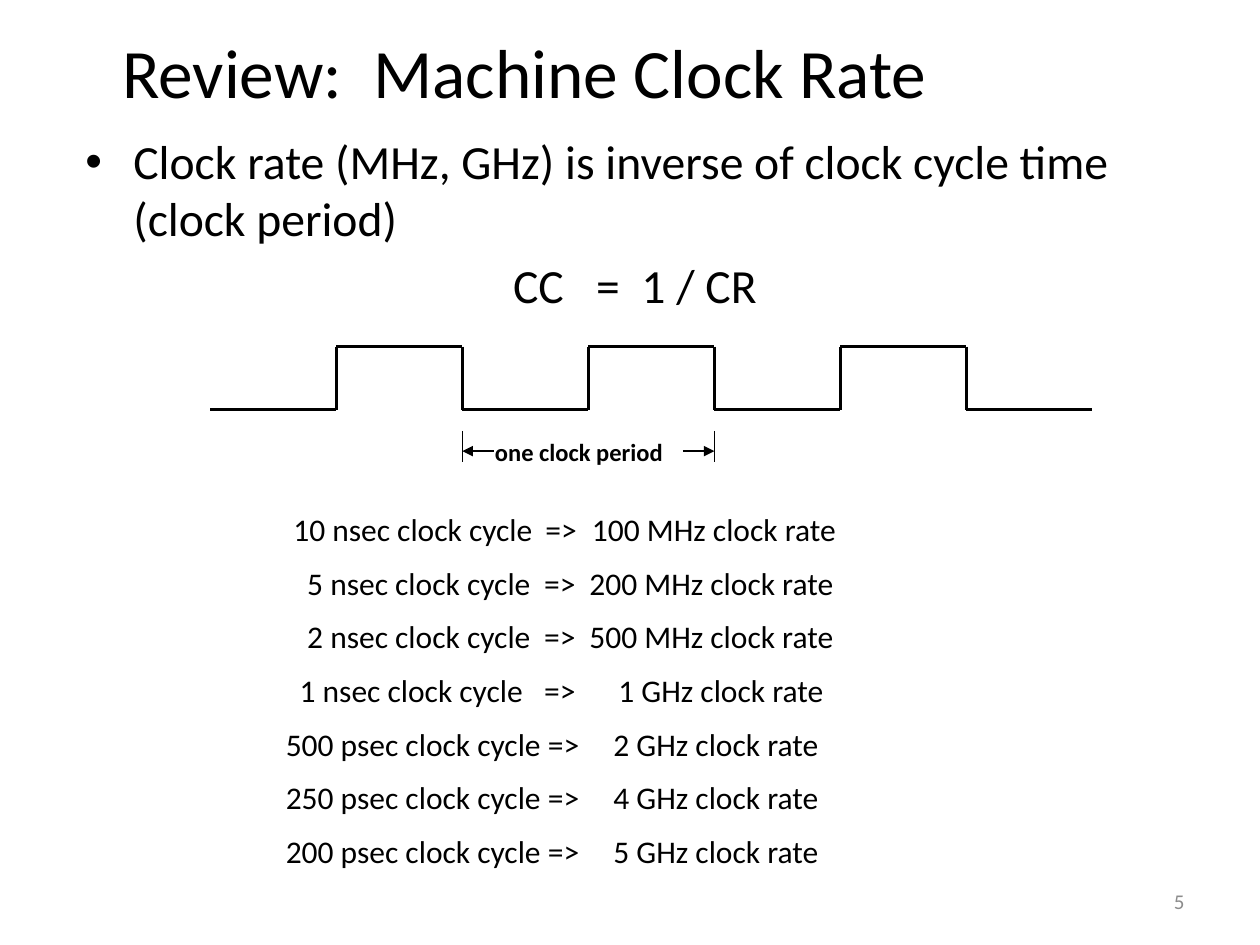
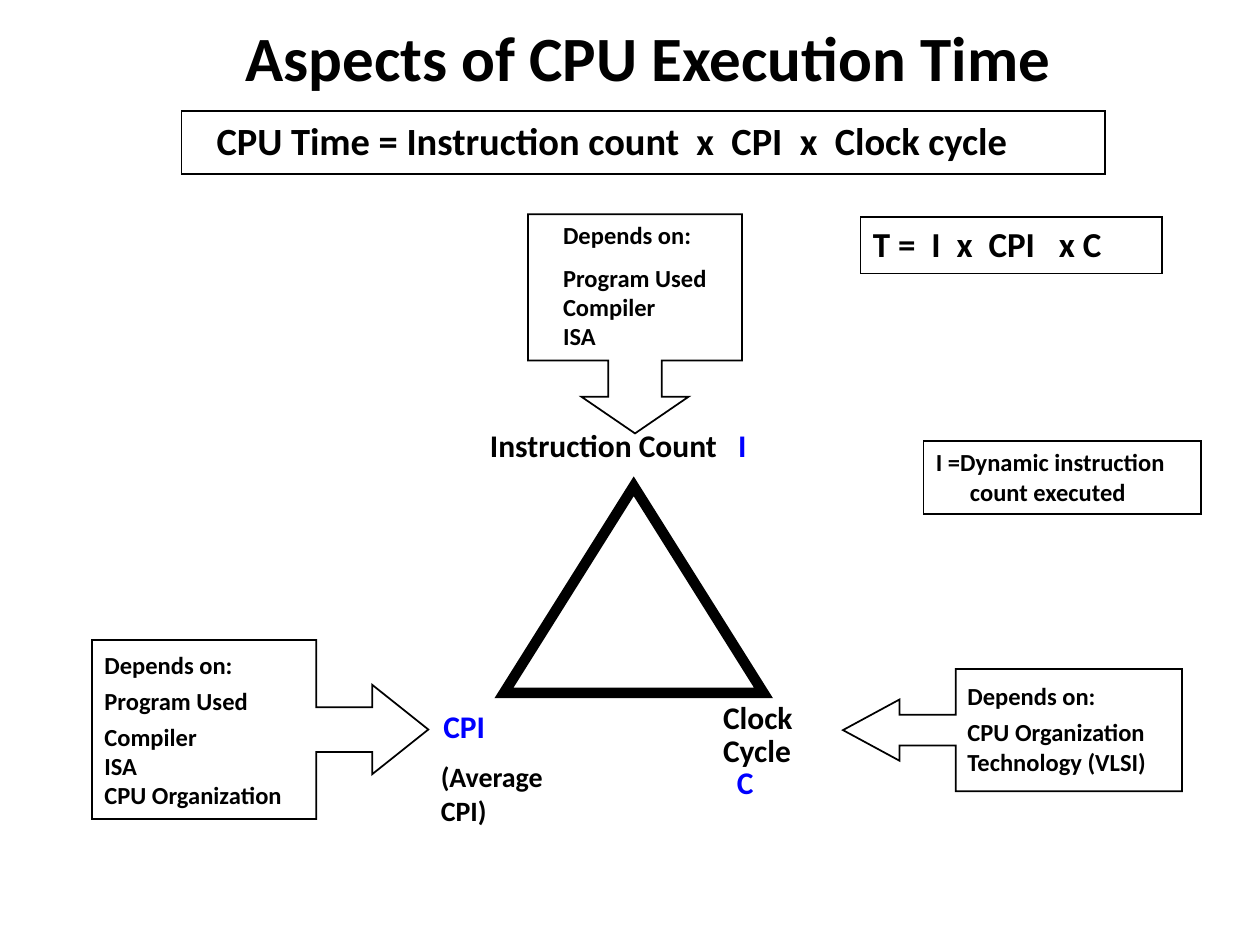
import itertools
import lxml.etree
import pptx
import pptx.dml.color
import pptx.enum.shapes
import pptx.enum.text
import pptx.oxml.ns
import pptx.util

Inches = pptx.util.Inches
Pt = pptx.util.Pt
Kind = pptx.enum.shapes.MSO_SHAPE
Align = pptx.enum.text.PP_ALIGN
Anchor = pptx.enum.text.MSO_ANCHOR
qn = pptx.oxml.ns.qn


class Theme:
    font = "Calibri"
    black, white, blue, gray = "000000", "FFFFFF", "0000FF", "8C8C8C"
    title, head, body, sum, brief = 39.6, 36, 27.2, 22, 20
    label, aside, note, foot = 18, 16, 14, 12
    thin, wave, thick = 1, 1.5, 6


# ---- Content: clock rate slide ----
RATE_TITLE = "Review:  Machine Clock Rate"
RATE_BODY = [
    dict(text="Clock rate (MHz, GHz) is inverse of clock cycle time (clock period)",
         left=0.38, first=-0.38, mark="\u2022"),
    dict(text="CC   =  1 / CR", align=Align.CENTER, before=5.4),
]
PERIOD = "one clock period"
# cycle, rate, then the indents of cycle, arrow and rate
RATES = [
    ("10 nsec", "100 MHz", (0.06, 0.01, 0.02)),
    ("5 nsec", "200 MHz", (0.17, 0, 0)),
    ("2 nsec", "500 MHz", (0.17, 0, 0)),
    ("1 nsec", "1 GHz", (0.11, 0, 0.23)),
    ("500 psec", "2 GHz", (0, 0.03, 0.19)),
    ("250 psec", "4 GHz", (0, 0.03, 0.19)),
    ("200 psec", "5 GHz", (0, 0.03, 0.19)),
]
COLUMNS = [(2.17, 2.3), (4.22, 0.6), (4.58, 3.26)]  # left, width
PAGE = "5"

# ---- Content: execution time slide ----
TIME_TITLE = "Aspects of CPU Execution Time"
TIME_SUM = "CPU Time = Instruction count  x  CPI  x  Clock cycle"
# corner labels: box, size, paragraphs
LABELS = [
    ((3.79, 3.33, 2.1, 0.5), Theme.label, ["Instruction Count"]),
    ((5.76, 3.33, 0.4, 0.5), Theme.label, [dict(blue="I")]),
    ((5.64, 5.54, 1.03, 1.12), Theme.label,
     [dict(text="Clock", lines=0.85), dict(text="Cycle", lines=0.85),
      dict(blue="C", left=0.11, lines=0.85)]),
    ((3.42, 5.56, 0.8, 0.45), Theme.label, [dict(blue="CPI")]),
    ((3.4, 5.98, 1.07, 0.64), Theme.aside, ["(Average", "CPI)"]),
]
# callouts: shape, box, head length, text box, paragraphs
CALLOUTS = [
    (Kind.LEFT_ARROW_CALLOUT, (6.69, 5.31, 2.69, 0.97), 0.462,
     (7.58, 5.36, 1.83, 0.85),
     [dict(text="CPU Organization", before=3.66), "Technology (VLSI)"]),
    (Kind.RIGHT_ARROW_CALLOUT, (0.73, 5.08, 2.67, 1.42), 0.314,
     (0.73, 5.11, 1.75, 1.36),
     [dict(text="Program Used", before=3.66), dict(text="Compiler", before=3.66),
      "ISA", "CPU Organization"]),
    (Kind.DOWN_ARROW_CALLOUT, (4.19, 1.7, 1.7, 1.74), 0.171,
     (4.37, 1.7, 1.42, 1.13),
     [dict(text="Program Used", before=7.32), "Compiler", "ISA"]),
]
# framed notes: box, size, paragraphs
NOTES = [
    ((6.83, 1.72, 2.39, 0.45), Theme.brief, ["T =  I  x  CPI   x C"]),
    ((7.33, 3.5, 2.2, 0.58), Theme.note,
     ["I =Dynamic instruction", dict(text="count executed", left=0.27)]),
]


# ---- Helpers ----
def paint(code):
    return pptx.dml.color.RGBColor.from_string(code)


def child(node, tag, **attrs):
    return lxml.etree.SubElement(node, qn(tag), attrs)


def style(run, size, bold, tone):
    run.font.name = Theme.font
    run.font.size = Pt(size)
    run.font.bold = bold
    run.font.color.rgb = paint(tone)


def write(frame, paras, size, bold=False, tone=Theme.black,
          align=Align.LEFT, anchor=Anchor.TOP):
    frame.word_wrap = True
    frame.vertical_anchor = anchor
    for i, item in enumerate(paras):
        item = dict(text=item) if isinstance(item, str) else item
        para = frame.paragraphs[0] if i == 0 else frame.add_paragraph()
        para.text = item.get("text") or item["blue"]
        for run in para.runs:
            style(run, size, bold, Theme.blue if "blue" in item else tone)
        para.alignment = item.get("align", align)
        para.space_before = Pt(item.get("before", 0))
        para.line_spacing = item.get("lines", 1.0)
        props = para._p.get_or_add_pPr()
        props.set("marL", str(Inches(item.get("left", 0))))
        props.set("indent", str(Inches(item.get("first", 0))))
        if "mark" in item:
            child(props, "a:buFont", typeface="Arial")
            child(props, "a:buChar", char=item["mark"])


def text(slide, box, paras, size, **look):
    shape = slide.shapes.add_textbox(*map(Inches, box))
    write(shape.text_frame, paras, size, **look)


def title(slide, box, words, size, bold=False):
    text(slide, box, [words], size, bold=bold,
         align=Align.CENTER, anchor=Anchor.MIDDLE)


def outline(slide, kind, box, width=Theme.thin, fill=None):
    shape = slide.shapes.add_shape(kind, *map(Inches, box))
    shape.shadow.inherit = False
    if fill:
        shape.fill.solid()
        shape.fill.fore_color.rgb = paint(fill)
    else:
        shape.fill.background()
    shape.line.color.rgb = paint(Theme.black)
    shape.line.width = Pt(width)
    child(shape.line._get_or_add_ln(), "a:miter", lim="800000")
    return shape


def line(slide, start, end, width=Theme.thin, arrow=False):
    link = slide.shapes.add_connector(
        pptx.enum.shapes.MSO_CONNECTOR.STRAIGHT, *map(Inches, start + end))
    link.line.color.rgb = paint(Theme.black)
    link.line.width = Pt(width)
    if arrow:
        child(link.line._get_or_add_ln(), "a:tailEnd", type="triangle")
    child(link._element.spPr, "a:effectLst")


deck = pptx.Presentation()
deck.slide_width, deck.slide_height = Inches(10), Inches(7.5)
blank = deck.slide_layouts[6]

# ---- Slide: clock rate ----
slide = deck.slides.add_slide(blank)
title(slide, (0.58, 0.33, 7.17, 0.46), RATE_TITLE, Theme.title)
text(slide, (0.58, 1, 8.92, 1.39), RATE_BODY, Theme.body)

# Square wave: seven half periods, low first
LEFT, HALF, LOW, HIGH = 1.67, 1, 3.25, 2.75
points = []
for i in range(7):
    level = HIGH if i % 2 else LOW
    points += [(LEFT + i * HALF, level), (LEFT + (i + 1) * HALF, level)]
for start, end in itertools.pairwise(points):
    line(slide, start, end, Theme.wave)

# One period: end ticks and arrows that point outward
for edge, side in ((LEFT + 2 * HALF, 1), (LEFT + 4 * HALF, -1)):
    line(slide, (edge, 3.42), (edge, 3.67))
    line(slide, (edge + side * 0.25, 3.58), (edge, 3.58), arrow=True)
text(slide, (3.83, 3.42, 1.75, 0.33), [PERIOD], Theme.note, bold=True)

# Cycle, arrow and rate columns
for col, (left, width) in enumerate(COLUMNS):
    paras = []
    for row, (cycle, rate, shifts) in enumerate(RATES):
        words = (f"{cycle} clock cycle", "=>", f"{rate} clock rate")[col]
        paras.append(dict(text=words, left=shifts[col], before=9 if row else 0))
    text(slide, (left, 4, width, 3.11), paras, Theme.label)
text(slide, (7.17, 6.95, 2.33, 0.4), [PAGE], Theme.foot, tone=Theme.gray,
     align=Align.RIGHT, anchor=Anchor.MIDDLE)

# ---- Slide: execution time ----
slide = deck.slides.add_slide(blank)
title(slide, (0.73, 0.16, 8.83, 0.58), TIME_TITLE, Theme.head, bold=True)
text(slide, (1.62, 0.88, 7.18, 0.47), [TIME_SUM], Theme.sum, bold=True)
outline(slide, Kind.RECTANGLE, (1.44, 0.88, 7.33, 0.5))

# Triangle and its corners
outline(slide, Kind.ISOSCELES_TRIANGLE, (4, 3.86, 2.06, 1.64), Theme.thick)
for box, size, paras in LABELS:
    text(slide, box, paras, size, bold=True)

# Callouts that point at the corners
for kind, box, head, inner, paras in CALLOUTS:
    shape = outline(slide, kind, box)
    for i, value in enumerate((0.25, 0.25, head, 0.667)):
        shape.adjustments[i] = value
    text(slide, inner, ["Depends on:"] + paras, Theme.note, bold=True)

# Framed notes
for box, size, paras in NOTES:
    shape = outline(slide, Kind.RECTANGLE, box, fill=Theme.white)
    write(shape.text_frame, paras, size, bold=True)

deck.save("out.pptx")
